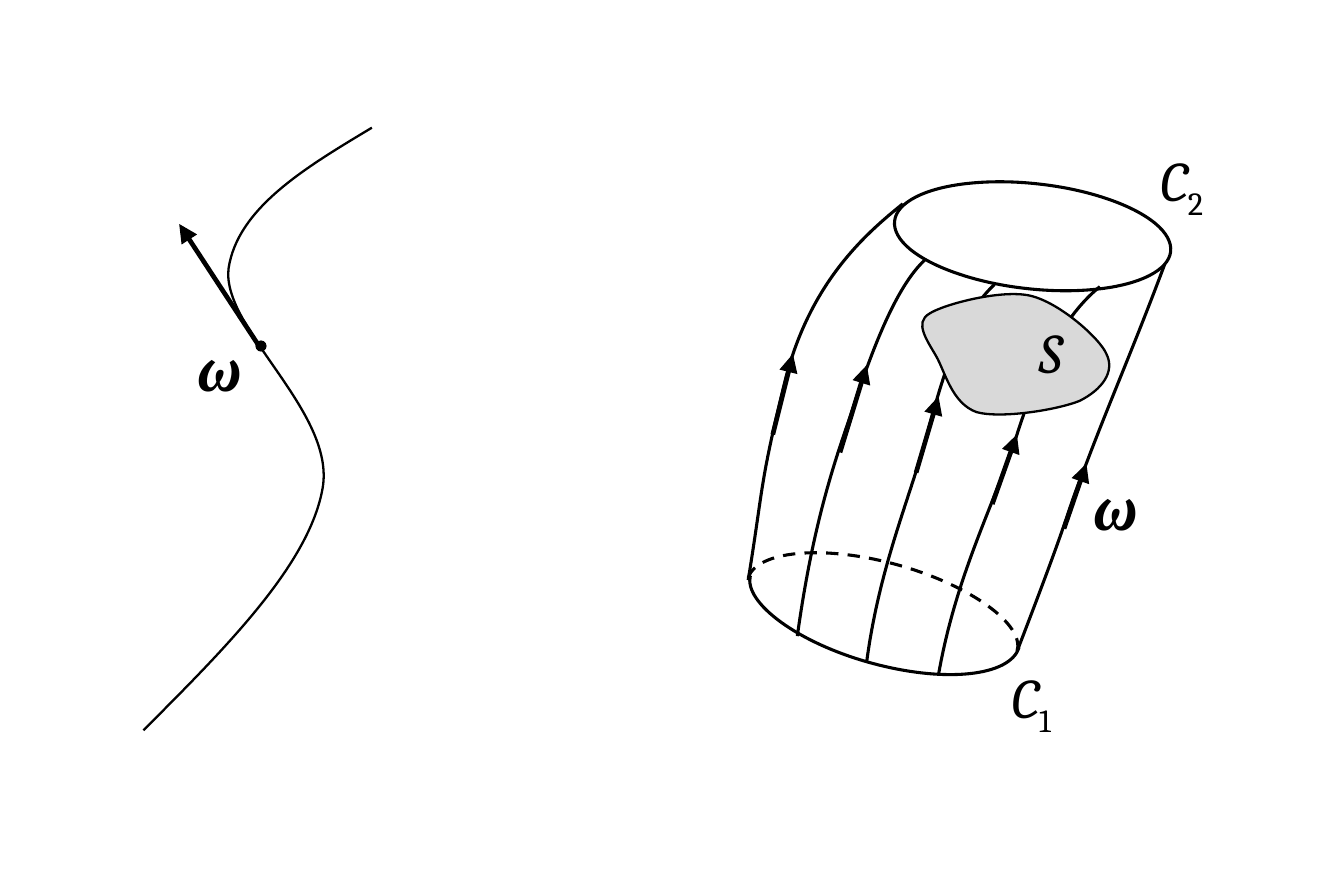
import pptx
import pptx.dml.color
import pptx.enum.dml
import pptx.enum.shapes
import pptx.enum.text
import pptx.oxml
import pptx.oxml.ns
import pptx.util
from pptx.util import Inches

BLACK = pptx.dml.color.RGBColor(0x00, 0x00, 0x00)
GREY = pptx.dml.color.RGBColor(0xD9, 0xD9, 0xD9)
DASH = pptx.enum.dml.MSO_LINE.DASH


class Figure:
    font = "Cambria"
    text_size = 18
    thin, medium, thick = 0.75, 1, 1.5

    def __init__(self, slide):
        self.slide = slide

    def style_outline(self, shape, width, fill=None):
        shape.shadow.inherit = False
        if fill is None:
            shape.fill.background()
        else:
            shape.fill.solid()
            shape.fill.fore_color.rgb = fill
        if width is None:
            shape.line.fill.background()
        else:
            shape.line.color.rgb = BLACK
            shape.line.width = pptx.util.Pt(width)

    def curve(self, points, width, fill=None, dash=None):
        start, *controls = [(Inches(x), Inches(y)) for x, y in points]
        builder = self.slide.shapes.build_freeform(*start)
        builder.add_line_segments(controls, close=fill is not None)
        shape = builder.convert_to_shape()
        segments = shape.element.xpath(".//a:path/a:lnTo")
        for first in range(0, len(segments), 3):
            bezier = pptx.oxml.parse_xml(
                f"<a:cubicBezTo {pptx.oxml.ns.nsdecls('a')}/>")
            segments[first].addprevious(bezier)
            for segment in segments[first:first + 3]:
                bezier.append(segment[0])
                segment.getparent().remove(segment)
        self.style_outline(shape, width, fill)
        if dash is not None:
            shape.line.dash_style = dash

    def ellipse(self, left, top, width, height, line=None, fill=None, rotation=0):
        shape = self.slide.shapes.add_shape(
            pptx.enum.shapes.MSO_SHAPE.OVAL,
            Inches(left), Inches(top), Inches(width), Inches(height))
        shape.rotation = rotation
        self.style_outline(shape, line, fill)

    def arrow(self, start, end):
        connector = self.slide.shapes.add_connector(
            pptx.enum.shapes.MSO_CONNECTOR.STRAIGHT,
            *(Inches(value) for value in (*start, *end)))
        connector.line.color.rgb = BLACK
        connector.line.width = pptx.util.Pt(self.thick)
        namespace = pptx.oxml.ns.nsdecls("a")
        connector.line._get_or_add_ln().append(
            pptx.oxml.parse_xml(f'<a:tailEnd {namespace} type="triangle"/>'))
        connector.element.spPr.append(
            pptx.oxml.parse_xml(f"<a:effectLst {namespace}/>"))

    def symbol(self, letter, left, top, width, bold=False, subscript=""):
        box = self.slide.shapes.add_textbox(
            Inches(left), Inches(top), Inches(width), Inches(0.4))
        frame = box.text_frame
        frame.word_wrap = False
        frame.auto_size = pptx.enum.text.MSO_AUTO_SIZE.SHAPE_TO_FIT_TEXT
        paragraph = frame.paragraphs[0]
        paragraph.alignment = pptx.enum.text.PP_ALIGN.RIGHT
        for text in filter(None, (letter, subscript)):
            run = paragraph.add_run()
            run.text = text
            run.font.name = self.font
            run.font.size = pptx.util.Pt(self.text_size)
            run.font.color.rgb = BLACK
            run.font.bold = bold
            run.font.italic = text == letter
        if subscript:
            run.font._element.set("baseline", "-25000")


VORTEX_LINE = [(0.64, 3.26), (1.01, 2.89), (1.38, 2.52), (1.44, 2.18),
               (1.5, 1.84), (0.99, 1.47), (1.02, 1.2),
               (1.06, 0.93), (1.36, 0.75), (1.66, 0.57)]
LOWER_RIM_FRONT = [(4.55, 2.89), (4.51, 3.02), (4.22, 3.05), (3.89, 2.96),
                   (3.56, 2.87), (3.32, 2.69), (3.35, 2.57)]
LOWER_RIM_BACK = [(3.34, 2.58), (3.38, 2.46), (3.67, 2.43), (4, 2.52),
                  (4.33, 2.61), (4.58, 2.79), (4.54, 2.91)]
SURFACE = [(4.15, 1.4), (4.21, 1.36), (4.47, 1.29), (4.6, 1.32),
           (4.73, 1.35), (4.91, 1.51), (4.94, 1.58),
           (4.98, 1.66), (4.92, 1.74), (4.82, 1.79),
           (4.72, 1.83), (4.47, 1.87), (4.36, 1.84),
           (4.25, 1.8), (4.22, 1.66), (4.18, 1.59),
           (4.14, 1.52), (4.08, 1.44), (4.15, 1.4)]
TUBE_LINES = [
    ([(3.34, 2.59), (3.41, 2.16), (3.39, 2.17), (3.5, 1.72),
      (3.61, 1.26), (3.87, 1.04), (4.03, 0.91)], (3.45, 1.94), (3.54, 1.58)),
    ([(3.56, 2.84), (3.62, 2.41), (3.7, 2.13), (3.8, 1.85),
      (3.89, 1.57), (4, 1.28), (4.13, 1.16)], (3.75, 2.02), (3.87, 1.63)),
    ([(3.87, 2.95), (3.93, 2.51), (4.07, 2.21), (4.15, 1.9),
      (4.23, 1.6), (4.31, 1.39), (4.44, 1.27)], (4.09, 2.11), (4.19, 1.77)),
    ([(4.19, 3.01), (4.27, 2.56), (4.44, 2.25), (4.54, 1.94),
      (4.64, 1.63), (4.75, 1.41), (4.91, 1.28)], (4.43, 2.25), (4.54, 1.94)),
    ([(4.54, 2.91), (4.81, 2.21), (4.74, 2.35), (4.85, 2.07),
      (4.96, 1.78), (5.07, 1.53), (5.2, 1.18)], (4.75, 2.36), (4.85, 2.07)),
]


def main():
    presentation = pptx.Presentation()
    presentation.slide_width = Inches(6)
    presentation.slide_height = Inches(4)
    figure = Figure(presentation.slides.add_slide(presentation.slide_layouts[6]))

    figure.arrow((1.16, 1.55), (0.8, 1))
    figure.symbol("ω", 0.78, 1.45, 0.38, bold=True)
    figure.curve(VORTEX_LINE, figure.thin)
    figure.ellipse(1.14, 1.52, 0.05, 0.05, fill=BLACK)

    figure.curve(LOWER_RIM_FRONT, figure.medium)
    figure.ellipse(3.99, 0.82, 1.24, 0.47, line=figure.medium, rotation=6.3)
    for points, _, _ in TUBE_LINES:
        figure.curve(points, figure.medium)
    figure.curve(LOWER_RIM_BACK, figure.medium, dash=DASH)
    for _, start, end in TUBE_LINES:
        figure.arrow(start, end)

    figure.symbol("ω", 4.78, 2.07, 0.38, bold=True)
    figure.symbol("C", 4.35, 2.91, 0.44, subscript="1")
    figure.symbol("C", 5.04, 0.6, 0.43, subscript="2")
    figure.curve(SURFACE, figure.thin, fill=GREY)
    figure.symbol("S", 4.52, 1.37, 0.32)

    presentation.save("out.pptx")


if __name__ == "__main__":
    main()
